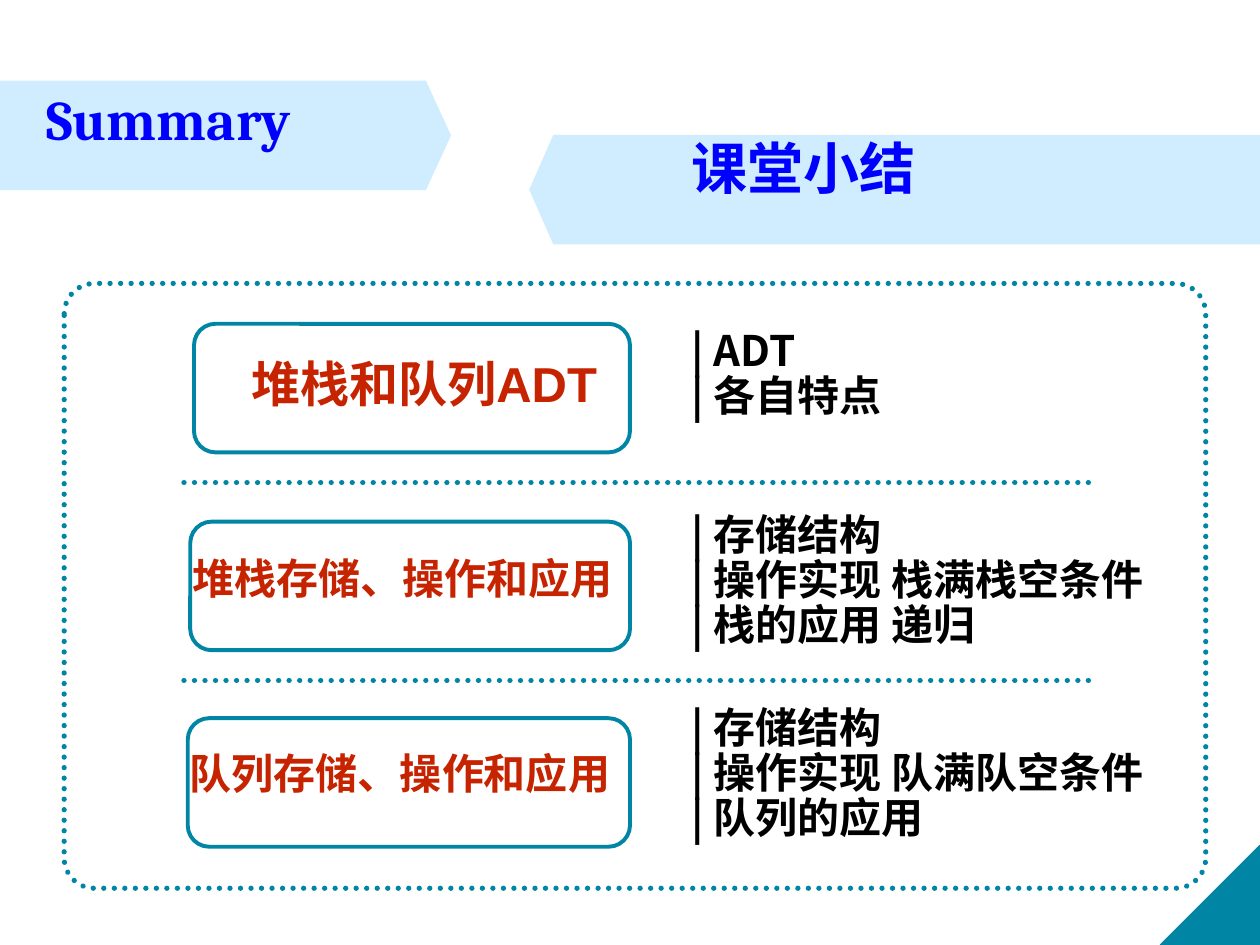
from pptx import Presentation
from pptx import util as u
from pptx.dml.color import RGBColor
from pptx.enum import dml, shapes, text
from pptx.oxml.ns import qn
from lxml import etree

theme = {
    "pale": RGBColor.from_string("CFEDFE"),
    "teal": RGBColor.from_string("0085A4"),
    "blue": RGBColor.from_string("0000FF"),
    "red": RGBColor.from_string("C62400"),
    "black": RGBColor.from_string("000000"),
    "title": 32, "label": 28, "body": 24,
    "serif": "Cambria", "sans": "Arial", "cjk": "Noto Sans CJK SC",
}
MST = shapes.MSO_SHAPE


def add_outline(parent, kind, box, fill=None, line=None, width=0.75, dotted=False):
    sp = parent.add_shape(kind, *map(u.Inches, box))
    sp.shadow.inherit = False
    for fmt, color in ((sp.fill, fill), (sp.line.fill, line)):
        if color is None:
            fmt.background()
        else:
            fmt.solid()
            fmt.fore_color.rgb = color
    if line is not None:
        sp.line.width = u.Pt(width)
    if dotted:
        sp.line.dash_style = dml.MSO_LINE.ROUND_DOT
        sp._element.spPr.find(qn("a:ln")).set("cap", "rnd")
    return sp


def add_text(parent, box, lines, font, size, color):
    tf = parent.add_textbox(*map(u.Inches, box)).text_frame
    tf.word_wrap = True
    tf.vertical_anchor = text.MSO_ANCHOR.TOP
    for i, line in enumerate(lines):
        p = tf.paragraphs[0] if i == 0 else tf.add_paragraph()
        p.line_spacing = 0.9
        r = p.add_run()
        r.text = line
        values = {"name": theme[font], "size": u.Pt(theme[size]), "bold": True}
        for key, value in values.items():
            setattr(r.font, key, value)
        r.font.color.rgb = theme[color]


prs = Presentation()
prs.slide_width, prs.slide_height = u.Inches(10), u.Inches(7.5)
s = prs.slides.add_slide(prs.slide_layouts[6]).shapes

for box, adj, turn in (
    ((0, 0.64, 3.58, 0.87), 0.23, 0),
    ((4.2, 1.07, 5.8, 0.87), 0.22, 180),
):
    banner = add_outline(s, MST.PENTAGON, box, fill=theme["pale"])
    banner.adjustments[0] = adj
    banner.rotation = turn

corner = add_outline(s, MST.RIGHT_TRIANGLE, (9.21, 6.71, 0.79, 0.79),
                     fill=theme["teal"], line=theme["teal"])
corner._element.spPr.find(qn("a:xfrm")).set("flipH", "1")

add_text(s, (0.27, 0.68, 3.47, 0.63), ["Summary"], "serif", "title", "blue")
add_text(s, (5.39, 1.07, 4.09, 0.63), ["课堂小结"], "sans", "title", "blue")

for y in (3.83, 5.4):
    rule = s.add_connector(shapes.MSO_CONNECTOR.STRAIGHT,
                           u.Inches(1.46), u.Inches(y), u.Inches(8.7), u.Inches(y))
    rule.line.color.rgb = theme["teal"]
    rule.line.width = u.Pt(3)
    rule.line.dash_style = dml.MSO_LINE.ROUND_DOT
    spPr = rule._element.spPr
    spPr.find(qn("a:ln")).set("cap", "rnd")
    etree.SubElement(spPr, qn("a:effectLst"))

panel = add_outline(s, MST.ROUNDED_RECTANGLE, (0.51, 2.25, 9.06, 4.8),
                    line=theme["teal"], width=3, dotted=True)
panel.adjustments[0] = 0.05

topics = [
    (1.54, 2.57, "堆栈和队列ADT", "label", (1.9, 2.81, 4.2, 0.57),
     2.57, ["| ADT", "| 各自特点"]),
    (1.51, 4.14, "堆栈存储、操作和应用", "body", (1.43, 4.38, 4.2, 0.5),
     4.03, ["| 存储结构", "| 操作实现 栈满栈空条件", "| 栈的应用 递归"]),
    (1.49, 5.7, "队列存储、操作和应用", "body", (1.41, 5.93, 4.2, 0.5),
     5.56, ["| 存储结构", "| 操作实现 队满队空条件", "| 队列的应用"]),
]
for left, top, label, size, label_box, points_top, points in topics:
    group = s.add_group_shape().shapes
    add_outline(group, MST.FLOWCHART_ALTERNATE_PROCESS, (left, top, 5 - left, 1.02),
                line=theme["teal"], width=2.25)
    add_text(group, label_box, [label], "sans", size, "red")
    points_height = 0.07 + 0.44 * len(points)
    add_text(s, (5.39, points_top, 4.33, points_height), points, "cjk", "body", "black")

prs.save("out.pptx")
